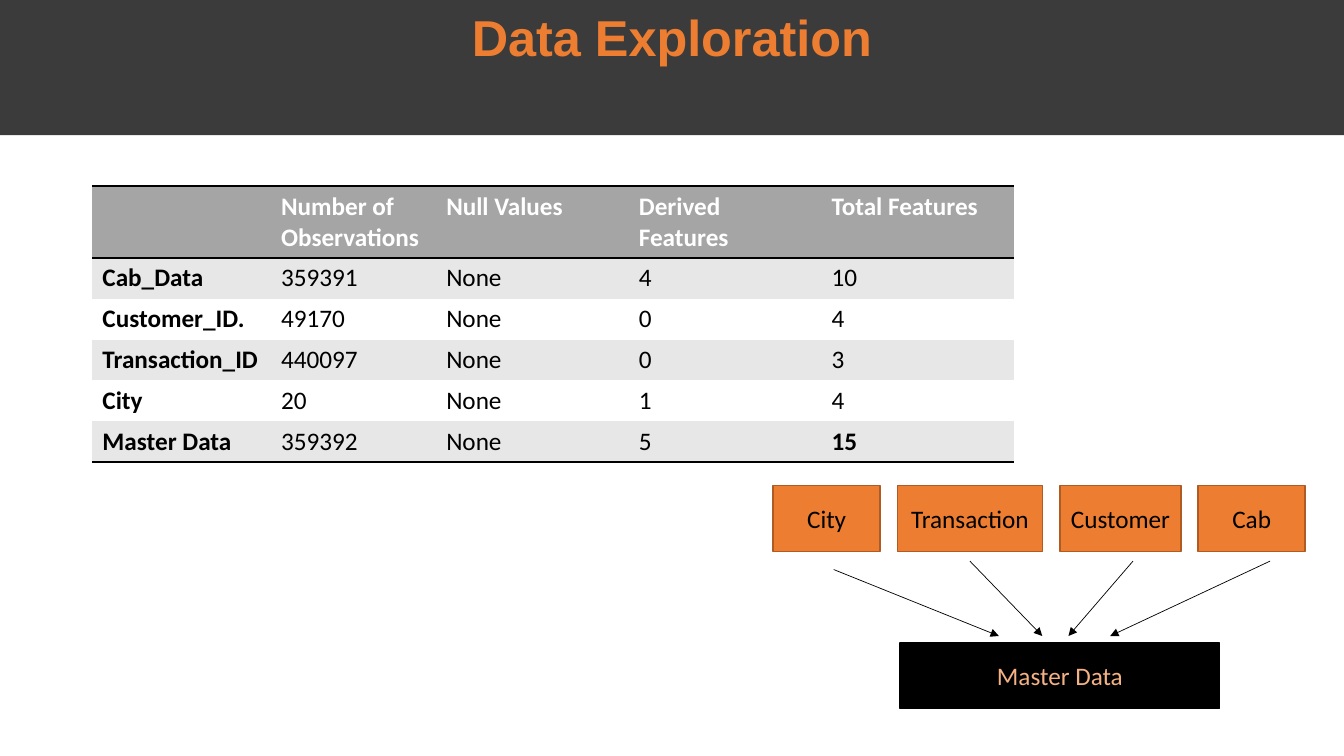
from typing import NamedTuple

from lxml import etree
from pptx import Presentation
from pptx.dml.color import RGBColor
from pptx.enum import shapes, text
from pptx.oxml import ns
from pptx.util import Pt

BLACK = RGBColor(0x00, 0x00, 0x00)
WHITE = RGBColor(0xFF, 0xFF, 0xFF)
CHARCOAL = RGBColor(0x3B, 0x3B, 0x3B)
ORANGE = RGBColor(0xED, 0x7D, 0x31)
BROWN = RGBColor(0xAF, 0x5C, 0x24)
PEACH = RGBColor(0xF4, 0xB1, 0x83)
HEADER_GREY = RGBColor(0xA5, 0xA5, 0xA5)
BAND_GREY = RGBColor(0xE7, 0xE7, 0xE7)

PLAIN_TABLE_STYLE = "{2D5ABB26-0587-4C30-8999-92F81FD0307C}"
BOX_HEIGHT = 46.8
SOURCE_TOP = 347
ARROW_END = 454.3


class DataBox(NamedTuple):
    label: str
    left: float
    top: float
    width: float
    fill: RGBColor = ORANGE
    line: RGBColor = BROWN
    color: RGBColor = BLACK


class Arrow(NamedTuple):
    start_x: float
    start_y: float
    end_x: float


BOXES = [
    DataBox("City", 552.2, SOURCE_TOP, 76.5),
    DataBox("Transaction", 641, SOURCE_TOP, 103.7),
    DataBox("Customer", 757.2, SOURCE_TOP, 86.4),
    DataBox("Cab", 855.8, SOURCE_TOP, 76.5),
    DataBox("Master Data", 643, 459.2, 228.2, BLACK, BLACK, PEACH),
]
ARROWS = [
    Arrow(595.5, 406.8, 713.5),
    Arrow(692.8, 400.8, 744.5),
    Arrow(809.3, 400.8, 763.2),
    Arrow(907.2, 400.8, 793),
]
COLUMN_WIDTHS = [127.6, 118, 137.6, 137.6, 137.6]
ROW_HEIGHTS = [49] + [29.15] * 5
ROWS = [
    ["", "Number of Observations", "Null Values", "Derived Features", "Total Features"],
    ["Cab_Data", "359391", "None", "4", "10"],
    ["Customer_ID.", "49170", "None", "0", "4"],
    ["Transaction_ID", "440097", "None", "0", "3"],
    ["City", "20", "None", "1", "4"],
    ["Master Data", "359392", "None", "5", "15"],
]


def format_para(para, color: RGBColor, size: float = 18, name: str = "Calibri",
                bold: bool = False) -> None:
    font = para.font
    font.name, font.size, font.bold = name, Pt(size), bold
    font.color.rgb = color


def add_title(page) -> None:
    title = page.shapes.title
    title.left, title.top, title.width, title.height = Pt(0), Pt(0), Pt(960), Pt(96.5)
    title.fill.solid()
    title.fill.fore_color.rgb = CHARCOAL
    frame = title.text_frame
    frame.text = "Data Exploration"
    frame.auto_size = text.MSO_AUTO_SIZE.NONE
    frame.vertical_anchor = text.MSO_ANCHOR.TOP
    frame.margin_top = Pt(9)
    para = frame.paragraphs[0]
    para.alignment = text.PP_ALIGN.CENTER
    para.line_spacing = 0.9
    format_para(para, ORANGE, 36, "Arial", True)


def add_border(cell, side: str) -> None:
    """Rule one side of a cell in black; side is lnT or lnB."""
    properties = cell._tc.get_or_add_tcPr()
    line = etree.SubElement(properties, ns.qn(f"a:{side}"), w=str(Pt(2)))
    fill = etree.SubElement(line, ns.qn("a:solidFill"))
    etree.SubElement(fill, ns.qn("a:srgbClr"), val=str(BLACK))


def add_data_table(page) -> None:
    frame = page.shapes.add_table(len(ROWS), len(COLUMN_WIDTHS), Pt(66), Pt(133),
                                  Pt(sum(COLUMN_WIDTHS)), Pt(sum(ROW_HEIGHTS)))
    table = frame.table
    table._tbl.tblPr.find(ns.qn("a:tableStyleId")).text = PLAIN_TABLE_STYLE
    for column, width in zip(table.columns, COLUMN_WIDTHS):
        column.width = Pt(width)
    last = len(ROWS) - 1
    for r, values in enumerate(ROWS):
        table.rows[r].height = Pt(ROW_HEIGHTS[r])
        fill = HEADER_GREY if r == 0 else BAND_GREY if r % 2 else WHITE
        for c, value in enumerate(values):
            cell = table.cell(r, c)
            cell.text = value
            bold = r == 0 or c == 0 or (r == last and c == len(values) - 1)
            format_para(cell.text_frame.paragraphs[0], BLACK if r else WHITE, bold=bold)
            if r == 0:
                add_border(cell, "lnT")
            if r in (0, last):
                add_border(cell, "lnB")
            cell.fill.solid()
            cell.fill.fore_color.rgb = fill


def add_box(page, data: DataBox) -> None:
    box = page.shapes.add_shape(shapes.MSO_SHAPE.RECTANGLE, Pt(data.left), Pt(data.top),
                                Pt(data.width), Pt(BOX_HEIGHT))
    box.shadow.inherit = False
    box.fill.solid()
    box.fill.fore_color.rgb = data.fill
    box.line.color.rgb = data.line
    box.line.width = Pt(1)
    frame = box.text_frame
    frame.text = data.label
    frame.vertical_anchor = text.MSO_ANCHOR.MIDDLE
    para = frame.paragraphs[0]
    para.alignment = text.PP_ALIGN.CENTER
    format_para(para, data.color)


def add_arrow(page, arrow: Arrow) -> None:
    connector = page.shapes.add_connector(
        shapes.MSO_CONNECTOR.STRAIGHT, Pt(arrow.start_x), Pt(arrow.start_y),
        Pt(arrow.end_x), Pt(ARROW_END))
    connector.line.color.rgb = BLACK
    connector.line.width = Pt(0.5)
    etree.SubElement(connector.line._get_or_add_ln(), ns.qn("a:tailEnd"), type="triangle")
    etree.SubElement(connector._element.spPr, ns.qn("a:effectLst"))


def main() -> None:
    deck = Presentation()
    deck.slide_width, deck.slide_height = Pt(960), Pt(540)
    page = deck.slides.add_slide(deck.slide_layouts.get_by_name("Title Only"))
    add_title(page)
    add_data_table(page)
    for data in BOXES:
        add_box(page, data)
    for arrow in ARROWS:
        add_arrow(page, arrow)
    deck.save("out.pptx")


if __name__ == "__main__":
    main()
